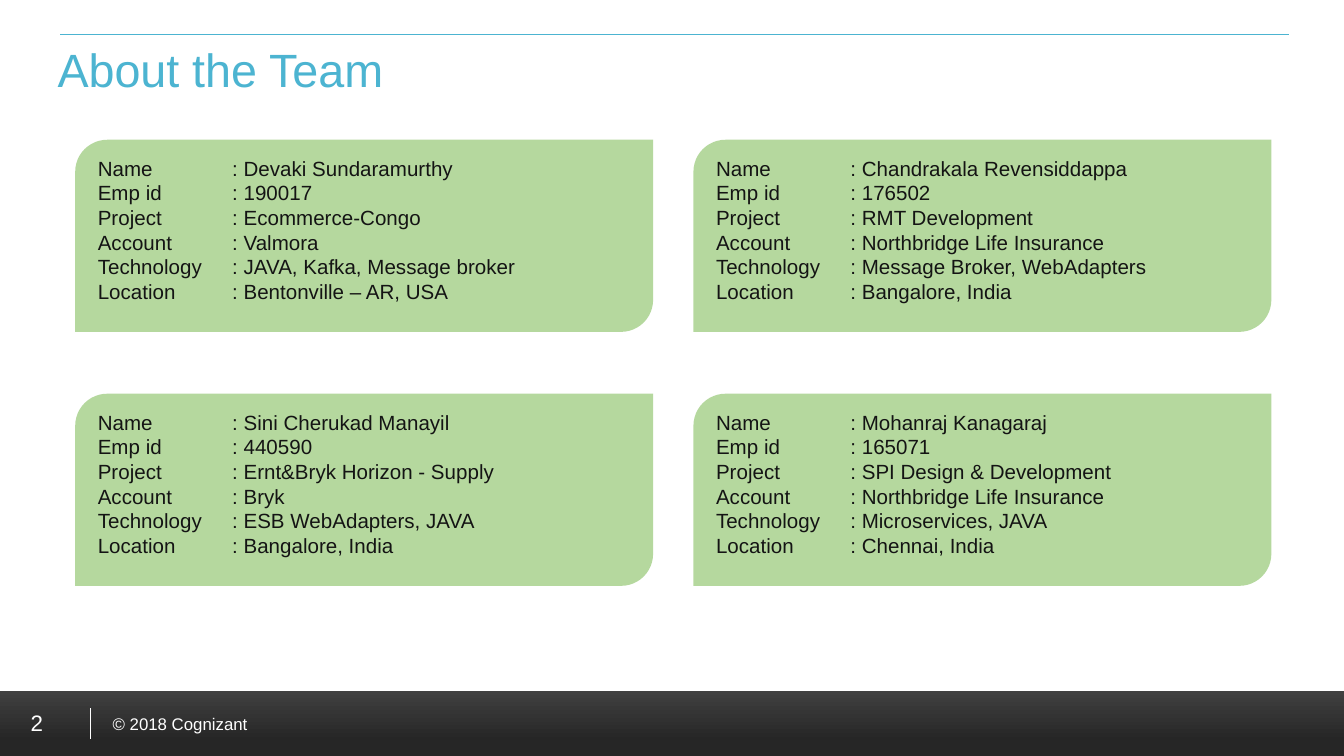
"""Build the team introduction slide with four profile cards."""
from dataclasses import dataclass

from lxml.etree import SubElement
from pptx import Presentation
from pptx.dml.color import RGBColor as RGB
from pptx.enum.shapes import MSO_CONNECTOR as Connector, MSO_SHAPE as Preset
from pptx.enum.text import MSO_ANCHOR as Anchor, PP_ALIGN as Align
from pptx.oxml.ns import qn
from pptx.util import Inches, Pt


@dataclass(frozen=True)
class Theme:
    font: str = "Arial"
    accent: RGB = RGB(0x4C, 0xB4, 0xD1)
    card: RGB = RGB(0x6D, 0xB3, 0x3F)
    card_opacity: int = 50
    ink: RGB = RGB(0x14, 0x14, 0x14)
    light: RGB = RGB(0xFF, 0xFF, 0xFF)
    bar_dark: RGB = RGB(0x26, 0x26, 0x26)
    bar_light: RGB = RGB(0x40, 0x40, 0x40)
    title_size: int = 25
    page_size: int = 12
    card_size: int = 11
    copyright_size: int = 9


THEME = Theme()
FIELDS = ("Name", "Emp id", "Project", "Account", "Technology", "Location")
TEAM = (
    ("Devaki Sundaramurthy", "190017", "Ecommerce-Congo", "Valmora",
     "JAVA, Kafka, Message broker", "Bentonville – AR, USA"),
    ("Chandrakala Revensiddappa", "176502", "RMT Development",
     "Northbridge Life Insurance", "Message Broker, WebAdapters",
     "Bangalore, India"),
    ("Sini Cherukad Manayil", "440590", "Ernt&Bryk Horizon - Supply", "Bryk",
     "ESB WebAdapters, JAVA", "Bangalore, India"),
    ("Mohanraj Kanagaraj", "165071", "SPI Design & Development",
     "Northbridge Life Insurance", "Microservices, JAVA", "Chennai, India"),
)
CARD_LEFT, CARD_TOP = 0.56, 1.04
CARD_WIDTH, CARD_HEIGHT = 4.3, 1.43
COLUMN_STEP, ROW_STEP = 4.6, 1.89
VALUE_TAB = 1.0


def style(paragraph, size, color):
    paragraph.font.name = THEME.font
    paragraph.font.size = Pt(size)
    paragraph.font.color.rgb = color


def add_label(slide, text, box, size, color):
    label = slide.shapes.add_textbox(*map(Inches, box))
    frame = label.text_frame
    frame.word_wrap = True
    frame.vertical_anchor = Anchor.MIDDLE
    frame.text = text
    style(frame.paragraphs[0], size, color)
    return frame


def add_rule(slide, start, end, color):
    rule = slide.shapes.add_connector(
        Connector.STRAIGHT, *map(Inches, start + end))
    rule.line.color.rgb = color
    rule.line.width = Pt(0.5)
    SubElement(rule._element.spPr, qn("a:effectLst"))


def add_panel(slide, preset, box):
    panel = slide.shapes.add_shape(preset, *map(Inches, box))
    panel.shadow.inherit = False
    panel.line.fill.background()
    return panel


def add_footer_bar(slide):
    fill = add_panel(slide, Preset.RECTANGLE, (0, 5.14, 10, 0.49)).fill
    fill.gradient()
    fill.gradient_angle = 90
    shades = ((0.24, THEME.bar_dark), (1, THEME.bar_light))
    for stop, (position, color) in zip(fill.gradient_stops, shades):
        stop.position = position
        stop.color.rgb = color


def add_value_tab(paragraph):
    tabs = SubElement(paragraph._p.get_or_add_pPr(), qn("a:tabLst"))
    SubElement(tabs, qn("a:tab"), pos=str(Inches(VALUE_TAB)), algn="l")


def add_card(slide, left, top, member):
    card = add_panel(slide, Preset.ROUND_2_DIAG_RECTANGLE,
                     (left, top, CARD_WIDTH, CARD_HEIGHT))
    card.fill.solid()
    card.fill.fore_color.rgb = THEME.card
    tint = card._element.spPr.find(f"{qn('a:solidFill')}/{qn('a:srgbClr')}")
    SubElement(tint, qn("a:alpha"), val=str(THEME.card_opacity * 1000))
    frame = card.text_frame
    frame.word_wrap = True
    frame.vertical_anchor = Anchor.TOP
    frame.text = "\n".join(
        f"{field}\t: {value}" for field, value in zip(FIELDS, member))
    for paragraph in frame.paragraphs:
        paragraph.alignment = Align.LEFT
        add_value_tab(paragraph)
        style(paragraph, THEME.card_size, THEME.ink)


def main():
    deck = Presentation()
    deck.slide_width = Inches(10)
    deck.slide_height = deck.slide_width * 9 // 16
    slide = deck.slides.add_slide(deck.slide_layouts[6])

    add_footer_bar(slide)
    add_label(slide, "© 2018 Cognizant", (0.74, 5.26, 2.1, 0.25),
              THEME.copyright_size, THEME.light)
    add_rule(slide, (0.67, 5.27), (0.67, 5.5), THEME.light)
    add_rule(slide, (0.45, 0.26), (9.59, 0.26), THEME.accent)
    title = add_label(slide, "About the Team", (0.33, 0.26, 9.26, 0.5),
                      THEME.title_size, THEME.accent)
    title.vertical_anchor = Anchor.BOTTOM
    title.margin_bottom = Inches(0.04)
    for index, member in enumerate(TEAM):
        row, column = divmod(index, 2)
        add_card(slide, CARD_LEFT + column * COLUMN_STEP,
                 CARD_TOP + row * ROW_STEP, member)
    add_label(slide, "2", (0.13, 5.23, 0.42, 0.3),
              THEME.page_size, THEME.light)
    deck.save("out.pptx")


if __name__ == "__main__":
    main()
